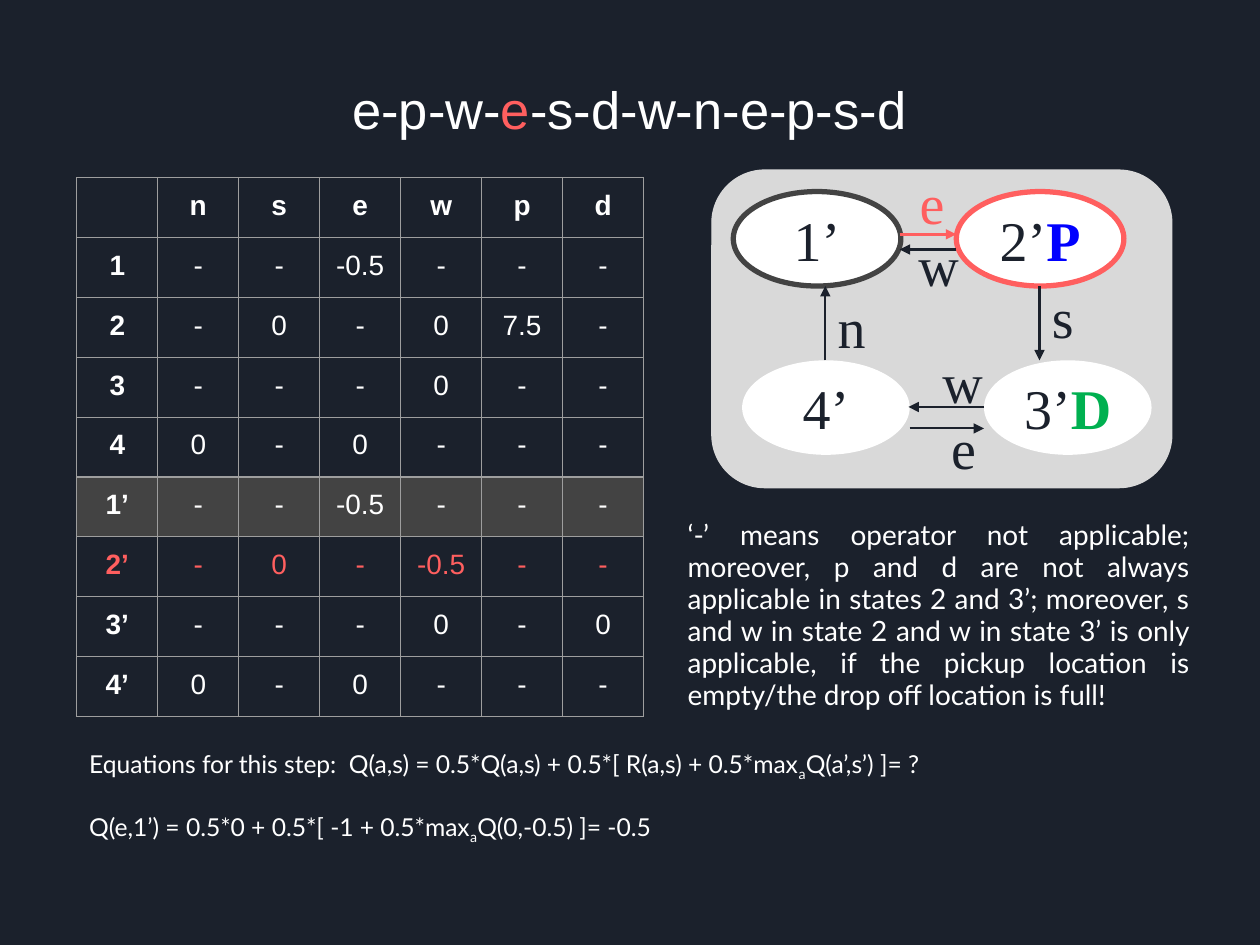
from dataclasses import dataclass

import pptx
import pptx.dml.color
import pptx.enum.shapes
import pptx.enum.text
import pptx.oxml
import pptx.oxml.ns
import pptx.util
from lxml import etree

ALIGN = pptx.enum.text.PP_ALIGN
ANCHOR = pptx.enum.text.MSO_ANCHOR
SHAPE = pptx.enum.shapes.MSO_SHAPE


@dataclass(frozen=True)
class Theme:
    night: str = "1B212C"
    white: str = "FFFFFF"
    coral: str = "FF5F5F"
    charcoal: str = "434343"
    panel: str = "D9D9D9"
    rule: str = "9E9E9E"
    pickup: str = "0000FF"
    dropoff: str = "00B050"
    sans: str = "Arial"
    body: str = "Lato"
    serif: str = "Times New Roman"
    title_size: float = 30
    state_size: float = 32
    text_size: float = 16
    equation_size: float = 14.1
    subscript_size: float = 14


def rgb(value):
    return pptx.dml.color.RGBColor.from_string(value)


class SlideBuilder:
    COLUMNS, ROWS = 100, 75

    def __init__(self, deck, theme):
        self.theme = theme
        self.column = deck.slide_width / self.COLUMNS
        self.row = deck.slide_height / self.ROWS
        self.slide = deck.slides.add_slide(deck.slide_layouts[6])
        self.slide.background.fill.solid()
        self.slide.background.fill.fore_color.rgb = rgb(theme.night)

    def place(self, x, y):
        return round(x * self.column), round(y * self.row)

    def box(self, x, y, width, height):
        return *self.place(x, y), *self.place(width, height)

    def fill_paragraph(self, paragraph, pieces, font, size, color, align, spacing=None):
        paragraph.alignment = align
        paragraph.line_spacing = spacing
        paragraph.font.name = font
        paragraph.font.size = pptx.util.Pt(size)
        paragraph.font.color.rgb = rgb(color)
        for words, look in pieces:
            run = paragraph.add_run()
            run.text = words
            if look == "subscript":
                run.font.size = pptx.util.Pt(self.theme.subscript_size)
                run.font._element.set("baseline", "-25000")
            elif look:
                run.font.color.rgb = rgb(look)

    def text(self, area, paragraphs, font, size, color, align=ALIGN.LEFT,
             spacing=None, anchor=ANCHOR.TOP, gap=0):
        frame = self.slide.shapes.add_textbox(*self.box(*area)).text_frame
        frame.word_wrap = True
        frame.vertical_anchor = anchor
        for index, pieces in enumerate(paragraphs):
            paragraph = frame.add_paragraph() if index else frame.paragraphs[0]
            self.fill_paragraph(paragraph, pieces, font, size, color, align, spacing)
            if index:
                paragraph.space_before = pptx.util.Pt(gap)

    def shape(self, kind, area, fill, outline=None, weight=0.75):
        shape = self.slide.shapes.add_shape(kind, *self.box(*area))
        shape.shadow.inherit = False
        shape.fill.solid()
        shape.fill.fore_color.rgb = rgb(fill)
        if outline:
            shape.line.color.rgb = rgb(outline)
            shape.line.width = pptx.util.Pt(weight)
        else:
            shape.line.fill.background()
        return shape

    def state(self, x, y, pieces, outline=None):
        oval = self.shape(SHAPE.OVAL, (x, y, 13.3, 7.5), self.theme.white, outline, 3)
        oval.text_frame.vertical_anchor = ANCHOR.MIDDLE
        paragraph = oval.text_frame.paragraphs[0]
        self.fill_paragraph(paragraph, pieces, self.theme.serif,
                            self.theme.state_size, self.theme.night, ALIGN.CENTER)
        for run in paragraph.runs[1:]:
            run.font.bold = True

    def move(self, start, end, name, label_at, color, weight=1.25):
        arrow = self.slide.shapes.add_connector(
            pptx.enum.shapes.MSO_CONNECTOR.STRAIGHT, *self.place(*start), *self.place(*end))
        arrow.line.color.rgb = rgb(color)
        arrow.line.width = pptx.util.Pt(weight)
        qn = pptx.oxml.ns.qn
        etree.SubElement(arrow.line._get_or_add_ln(), qn("a:tailEnd"), type="triangle")
        etree.SubElement(arrow._element.spPr, qn("a:effectLst"))
        self.text((*label_at, 3.5, 6.4), [[(name, None)]], self.theme.serif,
                  self.theme.state_size, color)

    def border(self, cell):
        for position, side in enumerate(("lnL", "lnR", "lnT", "lnB")):
            edge = pptx.oxml.parse_xml(
                f'<a:{side} {pptx.oxml.ns.nsdecls("a")} w="9525"><a:solidFill>'
                f'<a:srgbClr val="{self.theme.rule}"/></a:solidFill></a:{side}>')
            cell._tc.get_or_add_tcPr().insert(position, edge)

    def table(self, area, rows, fills, colors):
        grid = self.slide.shapes.add_table(len(rows), len(rows[0]), *self.box(*area)).table
        grid.horz_banding = False
        for r, row in enumerate(rows):
            for c, value in enumerate(row):
                cell = grid.cell(r, c)
                cell.margin_left = cell.margin_right = cell.margin_top = pptx.util.Inches(0.1)
                cell.margin_bottom = pptx.util.Inches(0.05)
                if row[0] in fills:
                    cell.fill.solid()
                    cell.fill.fore_color.rgb = rgb(fills[row[0]])
                else:
                    cell.fill.background()
                self.border(cell)
                paragraph = cell.text_frame.paragraphs[0]
                pieces = [(value, None)] if value else []
                self.fill_paragraph(paragraph, pieces, self.theme.sans, self.theme.text_size,
                                    colors.get(row[0], self.theme.white), ALIGN.CENTER)
                paragraph.font.bold = r == 0 or c == 0


Q_VALUES = [
    ["", "n", "s", "e", "w", "p", "d"],
    ["1", "-", "-", "-0.5", "-", "-", "-"],
    ["2", "-", "0", "-", "0", "7.5", "-"],
    ["3", "-", "-", "-", "0", "-", "-"],
    ["4", "0", "-", "0", "-", "-", "-"],
    ["1’", "-", "-", "-0.5", "-", "-", "-"],
    ["2’", "-", "0", "-", "-0.5", "-", "-"],
    ["3’", "-", "-", "-", "0", "-", "0"],
    ["4’", "0", "-", "0", "-", "-", "-"],
]
APPLICABILITY = (
    "‘-’ means operator not applicable; moreover, p and d are not always applicable in "
    "states 2 and 3’; moreover, s and w in state 2 and w in state 3’ is only applicable, "
    "if the pickup location is empty/the drop off location is full!")
EQUATIONS = [
    [("Equations for this step:  Q(a,s) = 0.5*Q(a,s) + 0.5*[ R(a,s) + 0.5*max", None),
     ("a", "subscript"), ("Q(a’,s’) ]= ?", None)],
    [("Q(e,1’) = 0.5*0 + 0.5*[ -1 + 0.5*max", None),
     ("a", "subscript"), ("Q(0,-0.5) ]= -0.5", None)],
]


def main():
    deck = pptx.Presentation()
    deck.slide_width, deck.slide_height = pptx.util.Inches(10), pptx.util.Inches(7.5)
    theme = Theme()
    page = SlideBuilder(deck, theme)

    operators = [("e-p-w-", None), ("e", theme.coral), ("-s-d-w-n-e-p-s-d", None)]
    page.text((8.3, 2, 83.3, 12.5), [operators], theme.sans, theme.title_size,
              theme.white, ALIGN.CENTER, 1.15, ANCHOR.MIDDLE)
    page.text((53.6, 40.8, 41.8, 16.6), [[(APPLICABILITY, None)]], theme.body,
              theme.text_size, theme.white, ALIGN.JUSTIFY, 0.95)
    page.table((6.1, 14.1, 45, 42.8), Q_VALUES, {"1’": theme.charcoal}, {"2’": theme.coral})

    page.shape(SHAPE.ROUNDED_RECTANGLE, (56.5, 13.5, 36.5, 25.2), theme.panel, theme.panel)
    page.state(58.2, 15.2, [("1’", None)], theme.charcoal)
    page.state(75.9, 15.2, [("2’", None), ("P", theme.pickup)], theme.coral)
    page.state(78.1, 28.6, [("3’", None), ("D", theme.dropoff)])
    page.state(58.9, 28.6, [("4’", None)])

    page.move((71.4, 18.6), (75.9, 18.6), "e", (72, 12.9), theme.coral, 1.75)
    for start, end, name, label_at in [
        ((75.9, 19.8), (71.4, 19.8), "w", (71.9, 17.8)),
        ((82.5, 22.7), (82.5, 28.6), "s", (82.5, 21.9)),
        ((78.1, 32.3), (72.1, 32.3), "w", (73.8, 27.1)),
        ((72.2, 34), (78.1, 34), "e", (74.5, 32.3)),
        ((65.5, 28.6), (65.5, 22.7), "n", (65.5, 22.7)),
    ]:
        page.move(start, end, name, label_at, theme.night)

    page.text((6.1, 58.9, 86.8, 12.5), EQUATIONS, theme.body, theme.equation_size,
              theme.white, ALIGN.JUSTIFY, 0.95, gap=18)
    deck.save("out.pptx")


if __name__ == "__main__":
    main()
